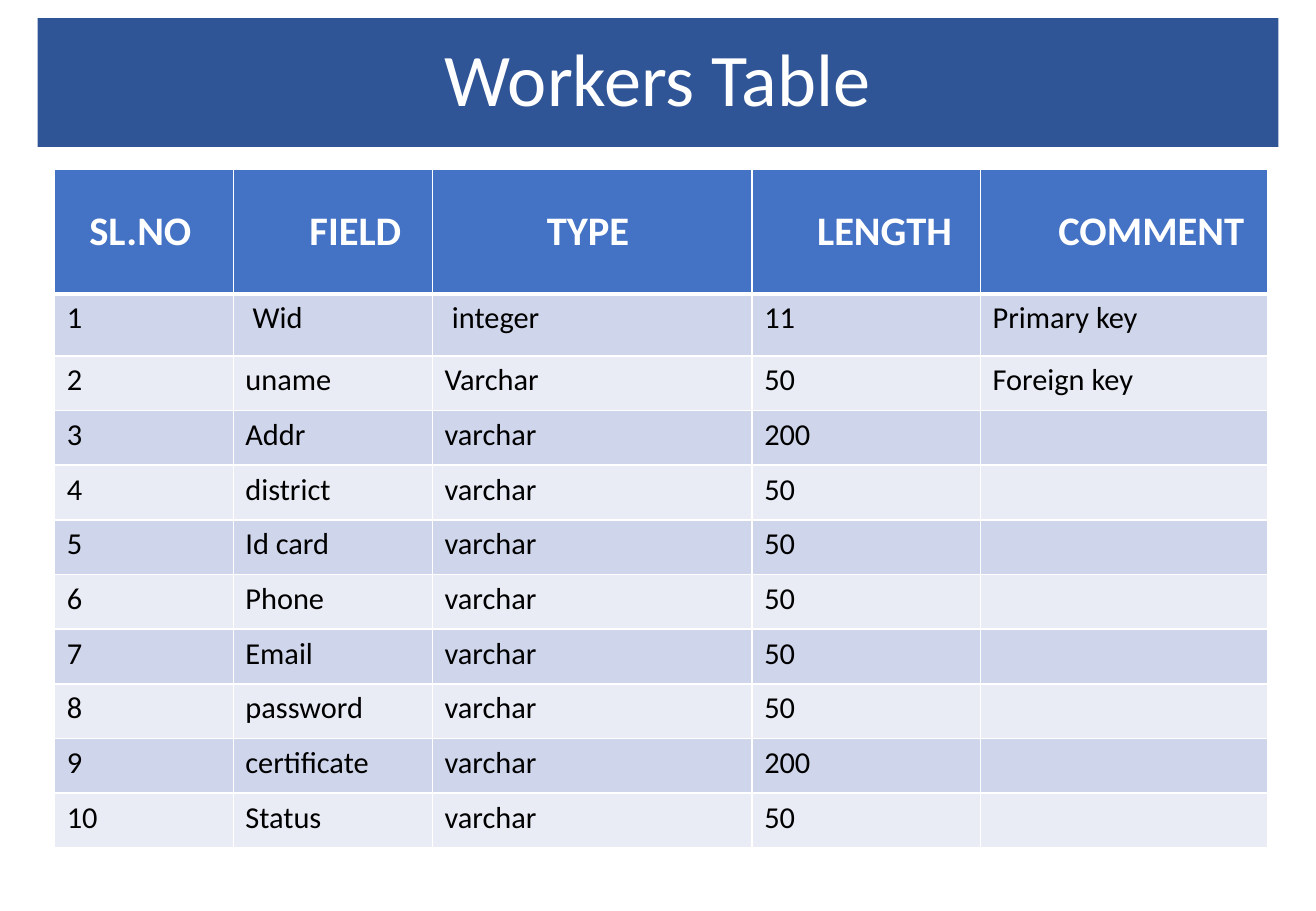
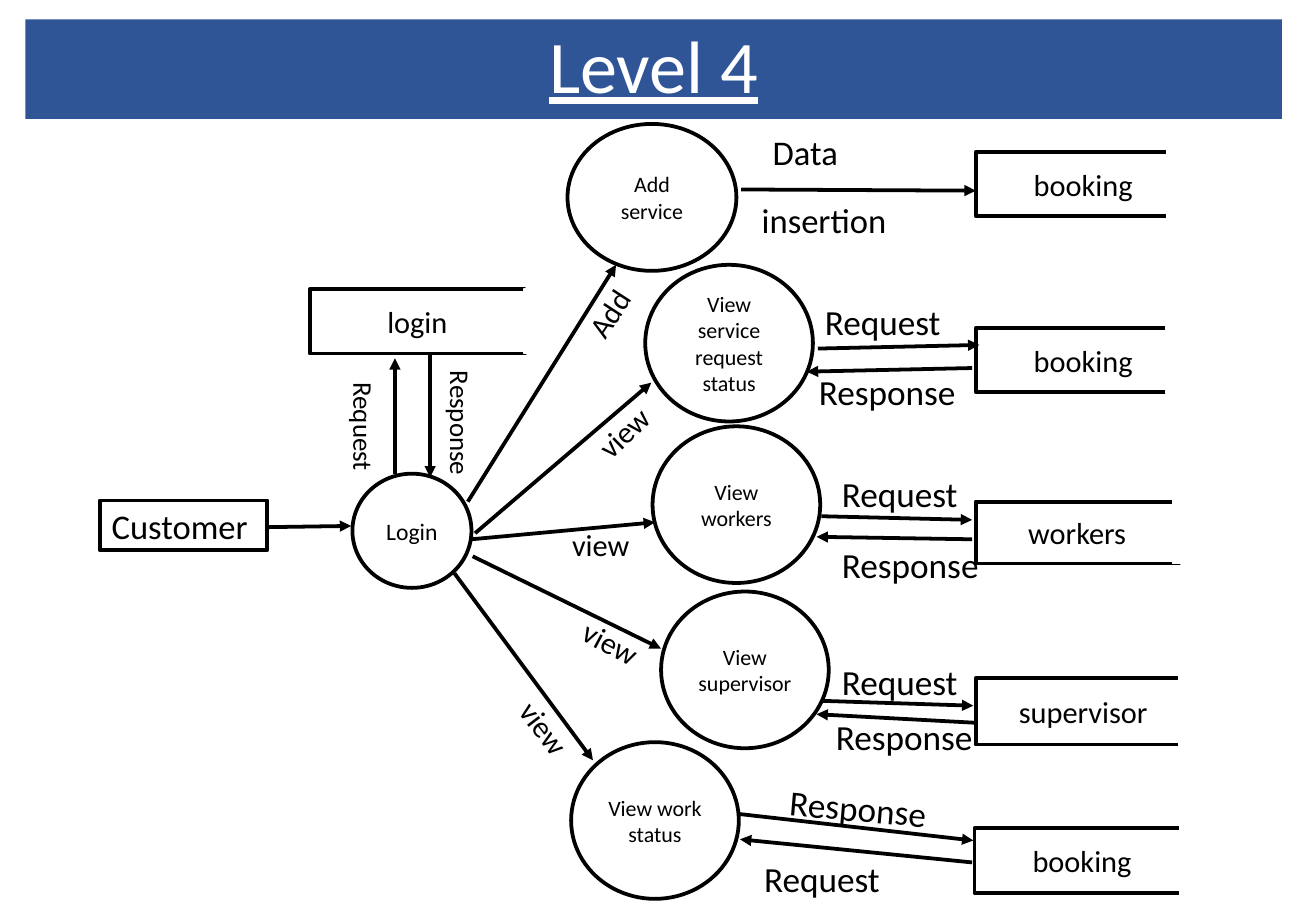
"""Build a database table slide and a level 4 data flow diagram slide."""
from dataclasses import dataclass

from lxml import etree
from pptx import Presentation
from pptx.dml.color import RGBColor
from pptx.enum.shapes import MSO_CONNECTOR, MSO_SHAPE
from pptx.enum.text import MSO_ANCHOR, PP_ALIGN
from pptx.oxml.ns import qn
from pptx.util import Emu, Pt

RECTANGLE, CIRCLE = MSO_SHAPE.RECTANGLE, MSO_SHAPE.FLOWCHART_CONNECTOR
PROCESS, STRAIGHT = MSO_SHAPE.FLOWCHART_PROCESS, MSO_CONNECTOR.STRAIGHT
LEFT, CENTER = PP_ALIGN.LEFT, PP_ALIGN.CENTER
TOP, MIDDLE = MSO_ANCHOR.TOP, MSO_ANCHOR.MIDDLE
EMU_PER_PX = 9144
SLIDE_WIDTH, SLIDE_HEIGHT = 1083, 750


@dataclass(frozen=True)
class Theme:
    """Hold the colours, font, type sizes and line widths."""
    font: str = "Calibri"
    band: str = "2F5597"
    header: str = "4472C4"
    stripes: tuple = ("CFD5EA", "E9EBF5")
    white: str = "FFFFFF"
    black: str = "000000"
    title_size: float = 44
    header_size: float = 24
    body_size: float = 18
    login_size: float = 14
    process_size: float = 13
    flow_size: float = 20.9
    entity_size: float = 20.5
    side_size: float = 16
    stroke: float = 2.25
    thin: float = 1
    thick: float = 3


THEME = Theme()

TABLE_TITLE = ("Workers Table", (31, 15, 1021, 106), False)
TABLE_LEFT, TABLE_TOP = 45, 139
COLUMN_WIDTHS = [147, 164, 263, 188, 236]
HEADER_HEIGHT, FIRST_HEIGHT, ROW_HEIGHT = 103, 51, 45
CELL_MARGIN = 10
HEADERS = [("SL.NO", 0, 6), ("FIELD", 37, 0), ("TYPE", 0, 7), ("LENGTH", 30, 0), ("COMMENT", 45, 0)]
FIELDS = [
    ("Wid", "integer", "11", "Primary key"),
    ("uname", "Varchar", "50", "Foreign key"),
    ("Addr", "varchar", "200", ""),
    ("district", "varchar", "50", ""),
    ("Id card", "varchar", "50", ""),
    ("Phone", "varchar", "50", ""),
    ("Email", "varchar", "50", ""),
    ("password", "varchar", "50", ""),
    ("certificate", "varchar", "200", ""),
    ("Status", "varchar", "50", ""),
]
INDENTS = {"Wid": 6, "integer": 6}

DIAGRAM_TITLE = ("Level 4", (21, 16, 1034, 82), True)
CUSTOMER = ("Customer", (82, 412, 138, 41))
LOGIN = ("Login", (290, 390, 98, 94))
PROCESSES = [
    ("Add service", (467, 102, 139, 121)),
    ("View service request status", (531, 218, 138, 129)),
    ("View\nworkers", (537, 351, 138, 129)),
    ("View supervisor", (544, 487, 138, 129)),
    ("View work status", (470, 611, 138, 129)),
]
STORES = [
    ("login", (255, 238, 177, 53), (431, 238, 6, 53)),
    ("booking", (803, 125, 177, 53), (960, 121, 62, 60)),
    ("booking", (803, 270, 177, 53), (959, 264, 62, 60)),
    ("workers", (803, 413, 167, 51), (965, 404, 51, 60)),
    ("supervisor", (803, 558, 177, 55), (970, 554, 62, 60)),
    ("booking", (802, 682, 177, 53), (971, 680, 62, 60)),
]
ARROWS = [
    (221, 434, 289, 433),
    (325, 390, 325, 295),
    (354, 291, 354, 393),
    (385, 413, 507, 218),
    (391, 439, 536, 315),
    (388, 444, 539, 430),
    (389, 458, 544, 534),
    (374, 472, 488, 626),
    (610, 156, 803, 157),
    (673, 287, 806, 284),
    (800, 303, 664, 306),
    (676, 425, 800, 428),
    (800, 444, 672, 442),
    (676, 577, 801, 581),
    (802, 595, 672, 588),
    (607, 670, 801, 692),
    (800, 710, 609, 691),
]
LABEL_GROUPS = [
    (THEME.body_size, 156, 40, [
        ("Add", 449, 198, 303),
        ("view", 467, 305, 316),
        ("view", 461, 428, 0),
        ("view", 464, 530, 28),
        ("view", 397, 615, 53),
    ]),
    (THEME.entity_size, 173, 45, [
        ("Data", 626, 103, 0),
        ("insertion", 617, 159, 0),
    ]),
    (THEME.flow_size, 163, 45, [
        ("Request", 669, 242, 0),
        ("Response", 664, 300, 0),
        ("Request", 683, 384, 0),
        ("Response", 683, 442, 0),
        ("Request", 683, 539, 0),
        ("Response", 678, 584, 0),
        ("Response", 640, 644, 5),
        ("Request", 619, 701, 0),
    ]),
    (THEME.side_size, 100, 36, [("Request", 250, 337, 90)]),
    (THEME.side_size, 145, 36, [("Response", 307, 350, 90)]),
]


def px(*lengths):
    return [Emu(length * EMU_PER_PX) for length in lengths]


def rgb(color):
    return RGBColor.from_string(color)


def write(text_frame, text, size, color=THEME.black, align=LEFT, bold=False, underline=None):
    text_frame.text = text
    for paragraph in text_frame.paragraphs:
        paragraph.alignment = align
        font = paragraph.font
        font.name, font.size, font.bold, font.underline = THEME.font, Pt(size), bold, underline
        font.color.rgb = rgb(color)


def add_block(slide, kind, box, fill=THEME.white, line=None, width=THEME.stroke):
    shape = slide.shapes.add_shape(kind, *px(*box))
    shape.shadow.inherit = False
    shape.fill.solid()
    shape.fill.fore_color.rgb = rgb(fill)
    if line:
        shape.line.color.rgb = rgb(line)
        shape.line.width = Pt(width)
    else:
        shape.line.fill.background()
    shape.text_frame.vertical_anchor = MIDDLE
    return shape


def add_node(slide, kind, text, box, size, align=CENTER):
    shape = add_block(slide, kind, box, line=THEME.black)
    write(shape.text_frame, text, size, align=align)


def add_title(slide, text, box, underline):
    shape = add_block(slide, RECTANGLE, box, THEME.band)
    write(shape.text_frame, text, THEME.title_size, THEME.white, CENTER, underline=underline)
    shape.text_frame.paragraphs[0].line_spacing = 0.9


def add_arrow(slide, points):
    connector = slide.shapes.add_connector(STRAIGHT, *px(*points))
    connector.line.color.rgb = rgb(THEME.black)
    connector.line.width = Pt(THEME.stroke)
    line = connector.line._get_or_add_ln()
    etree.SubElement(line, qn("a:tailEnd"), type="triangle")
    etree.SubElement(connector._element.spPr, qn("a:effectLst"))


def add_label(slide, text, box, size, rotation):
    label = slide.shapes.add_textbox(*px(*box))
    label.rotation = rotation
    label.text_frame.word_wrap = True
    write(label.text_frame, text, size)


def set_borders(cell, top, bottom):
    properties = cell._tc.get_or_add_tcPr()
    edges = [("L", THEME.thin), ("R", THEME.thin), ("T", top), ("B", bottom)]
    for position, (side, width) in enumerate(edges):
        line = etree.Element(qn(f"a:ln{side}"), w=str(Pt(width)))
        fill = etree.SubElement(line, qn("a:solidFill"))
        etree.SubElement(fill, qn("a:srgbClr"), val=THEME.white)
        properties.insert(position, line)


def style_cell(cell, fill, anchor, left=0, right=0):
    cell.fill.solid()
    cell.fill.fore_color.rgb = rgb(fill)
    cell.vertical_anchor = anchor
    cell.margin_left, cell.margin_right = px(CELL_MARGIN + left, CELL_MARGIN + right)


def add_field_table(slide):
    heights = [HEADER_HEIGHT, FIRST_HEIGHT] + [ROW_HEIGHT] * (len(FIELDS) - 1)
    box = px(TABLE_LEFT, TABLE_TOP, sum(COLUMN_WIDTHS), sum(heights))
    table = slide.shapes.add_table(len(heights), len(COLUMN_WIDTHS), *box).table
    for column, width in zip(table.columns, px(*COLUMN_WIDTHS)):
        column.width = width
    for row, height in zip(table.rows, px(*heights)):
        row.height = height
    for index, (text, left, right) in enumerate(HEADERS):
        cell = table.cell(0, index)
        style_cell(cell, THEME.header, MIDDLE, left, right)
        set_borders(cell, THEME.thin, THEME.thick)
        write(cell.text_frame, text, THEME.header_size, THEME.white, CENTER, bold=True)
    for number, field in enumerate(FIELDS, 1):
        for index, text in enumerate((str(number), *field)):
            cell = table.cell(number, index)
            style_cell(cell, THEME.stripes[(number - 1) % 2], TOP, INDENTS.get(text, 0))
            set_borders(cell, THEME.thick if number == 1 else THEME.thin, THEME.thin)
            write(cell.text_frame, text, THEME.body_size)


def add_diagram(slide):
    add_node(slide, RECTANGLE, *CUSTOMER, THEME.entity_size, LEFT)
    add_node(slide, CIRCLE, *LOGIN, THEME.login_size)
    for text, box, open_end in STORES:
        add_node(slide, PROCESS, text, box, THEME.body_size)
        add_block(slide, RECTANGLE, open_end, line=THEME.white, width=THEME.thin)
    for text, box in PROCESSES:
        add_node(slide, CIRCLE, text, box, THEME.process_size)
    for points in ARROWS:
        add_arrow(slide, points)
    for size, width, height, labels in LABEL_GROUPS:
        for text, left, top, rotation in labels:
            add_label(slide, text, (left, top, width, height), size, rotation)


def main():
    presentation = Presentation()
    presentation.slide_width, presentation.slide_height = px(SLIDE_WIDTH, SLIDE_HEIGHT)
    blank = presentation.slide_layouts[6]
    for title, add_content in ((TABLE_TITLE, add_field_table), (DIAGRAM_TITLE, add_diagram)):
        slide = presentation.slides.add_slide(blank)
        add_title(slide, *title)
        add_content(slide)
    presentation.save("out.pptx")


if __name__ == "__main__":
    main()
